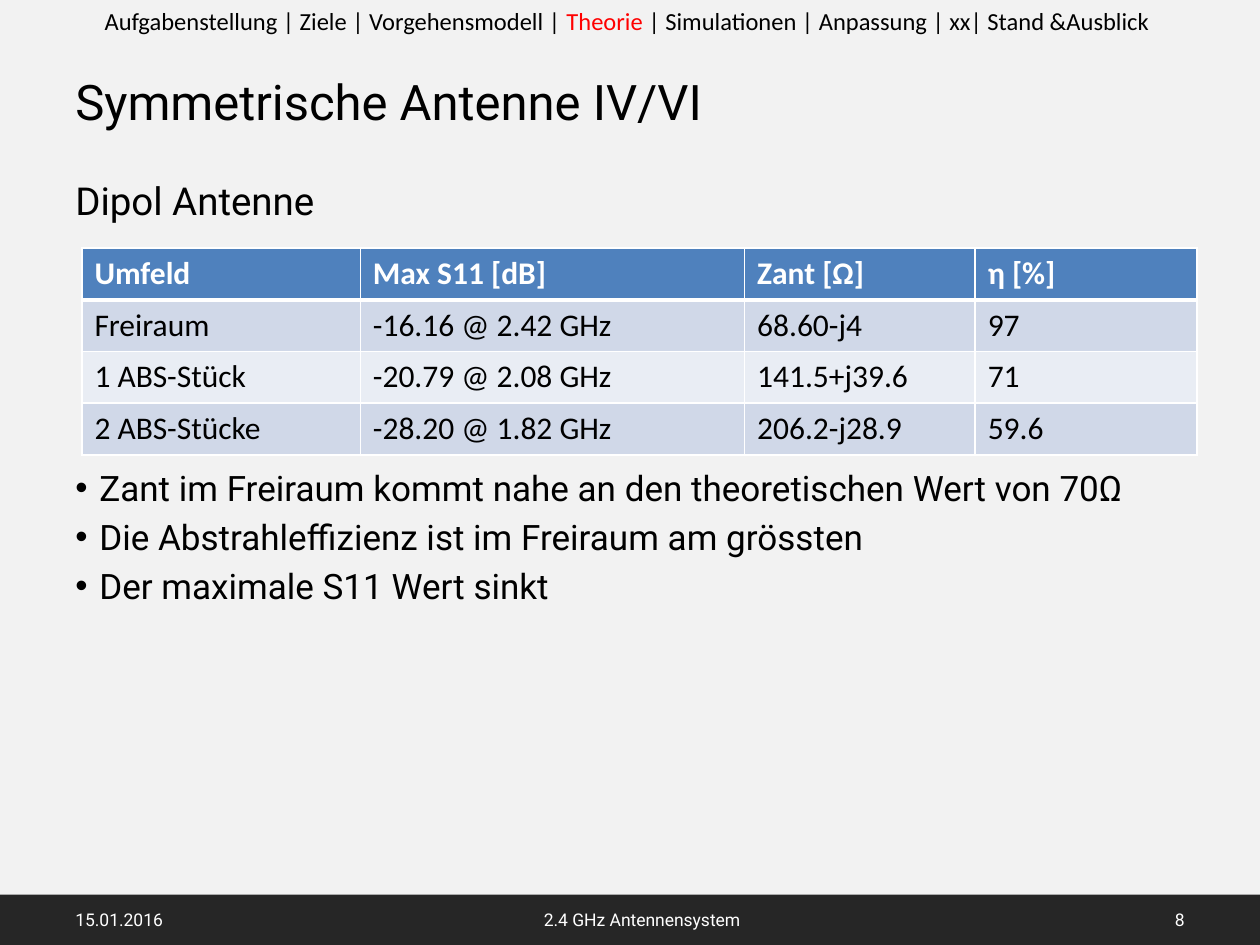
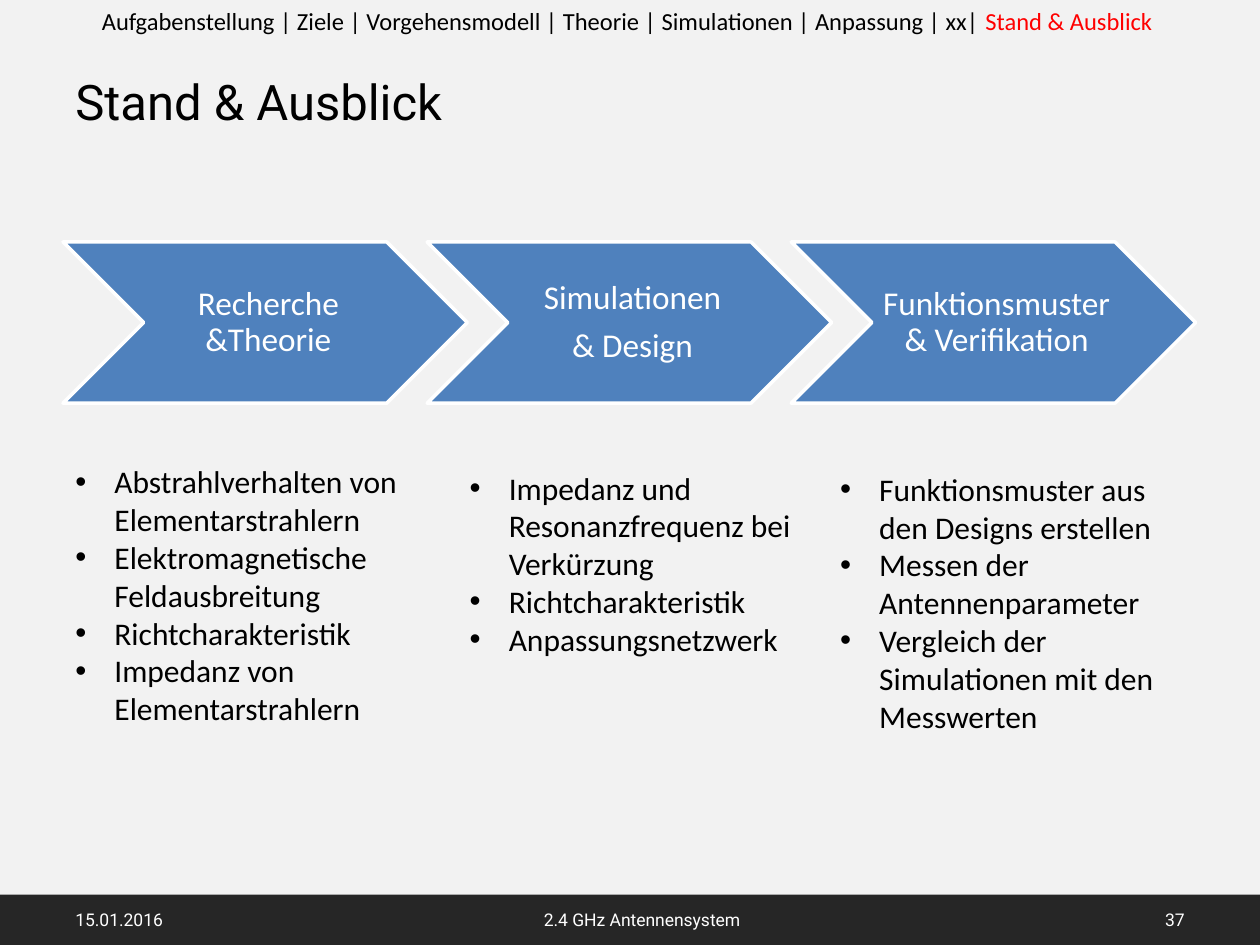
from dataclasses import dataclass

from lxml import etree
from pptx import Presentation
from pptx.dml.color import RGBColor
from pptx.enum.shapes import MSO_SHAPE
from pptx.enum.text import MSO_ANCHOR, PP_ALIGN
from pptx.oxml.ns import qn
from pptx.util import Inches, Pt

LEFT, CENTER, RIGHT = PP_ALIGN.LEFT, PP_ALIGN.CENTER, PP_ALIGN.RIGHT
TOP, MIDDLE = MSO_ANCHOR.TOP, MSO_ANCHOR.MIDDLE
RECTANGLE, CHEVRON = MSO_SHAPE.RECTANGLE, MSO_SHAPE.CHEVRON

GRID_COLUMNS, GRID_ROWS = 20, 15
CELL = Inches(0.5)
MARGIN = 1
CONTENT_WIDTH = GRID_COLUMNS - 2 * MARGIN
FOOTER_ROW, FOOTER_HEIGHT = 14.2, 0.8


@dataclass(frozen=True)
class Theme:
    heading_font: str = "Roboto"
    text_font: str = "Calibri"
    background: str = "F2F2F2"
    band: str = "262626"
    accent: str = "4F81BD"
    stripes: tuple = ("D0D8E8", "E9EDF4")
    dark: str = "000000"
    light: str = "FFFFFF"
    current: str = "FF0000"
    title: int = 28
    subtitle: int = 22
    statement: int = 20
    step: int = 19
    text: int = 18
    navigation: int = 14
    footer: int = 10


THEME = Theme()
SECTIONS = ("Aufgabenstellung | Ziele | Vorgehensmodell | Theorie | "
            "Simulationen | Anpassung | xx| ")

DIPOLE_WIDTHS = (4.42, 6.1, 3.66, 3.52)
DIPOLE_ROWS = (
    ("Umfeld", "Max S11 [dB]", "Zant [Ω]", "η [%]"),
    ("Freiraum", "-16.16 @ 2.42 GHz", "68.60-j4", "97"),
    ("1 ABS-Stück", "-20.79 @ 2.08 GHz", "141.5+j39.6", "71"),
    ("2 ABS-Stücke", "-28.20 @ 1.82 GHz", "206.2-j28.9", "59.6"),
)
DIPOLE_FINDINGS = (
    "Zant im Freiraum kommt nahe an den theoretischen Wert von 70Ω",
    "Die Abstrahleffizienz ist im Freiraum am grössten",
    "Der maximale S11 Wert sinkt",
)
PROJECT_STEPS = (
    ("Recherche &Theorie",),
    ("Simulationen", "& Design"),
    ("Funktionsmuster & Verifikation",),
)
STEP_TASKS = (
    (1, 7.24, ("Abstrahlverhalten von Elementarstrahlern",
               "Elektromagnetische Feldausbreitung",
               "Richtcharakteristik",
               "Impedanz von Elementarstrahlern")),
    (7.26, 7.34, ("Impedanz und Resonanzfrequenz bei Verkürzung",
                  "Richtcharakteristik",
                  "Anpassungsnetzwerk")),
    (13.14, 7.36, ("Funktionsmuster aus den Designs erstellen",
                   "Messen der Antennenparameter",
                   "Vergleich der Simulationen mit den Messwerten")),
)


def cells(*counts):
    return [int(count * CELL) for count in counts]


def color(code):
    return RGBColor.from_string(code)


def style(para, size, font, code, align=LEFT, bold=False):
    para.alignment = align
    para.font.size = Pt(size)
    para.font.name = font
    para.font.bold = bold
    para.font.color.rgb = color(code)


def add_bullet(para, indent):
    properties = para._p.get_or_add_pPr()
    properties.set("marL", str(indent))
    properties.set("indent", str(-indent))
    etree.SubElement(properties, qn("a:buFont"), typeface="Arial")
    etree.SubElement(properties, qn("a:buChar"), char="•")


def fill_paragraphs(frame, lines, size, font, code, align=LEFT,
                    indent=0, gap=0):
    for index, line in enumerate(lines):
        para = frame.paragraphs[0] if index == 0 else frame.add_paragraph()
        para.text = line
        if indent:
            add_bullet(para, cells(indent)[0])
        if index and gap:
            para.space_before = Pt(gap)
        style(para, size, font, code, align)


def add_text(page, area, lines, size, font, code=THEME.dark,
             anchor=TOP, **layout):
    box = page.shapes.add_textbox(*cells(*area))
    box.text_frame.word_wrap = True
    box.text_frame.vertical_anchor = anchor
    fill_paragraphs(box.text_frame, lines, size, font, code, **layout)


def add_block(page, preset, area, fill):
    block = page.shapes.add_shape(preset, *cells(*area))
    block.shadow.inherit = False
    block.fill.solid()
    block.fill.fore_color.rgb = color(fill)
    block.line.fill.background()
    return block


def add_navigation(page, text, current):
    box = page.shapes.add_textbox(*cells(0, 0, GRID_COLUMNS, 0.68))
    box.text_frame.word_wrap = True
    para = box.text_frame.paragraphs[0]
    style(para, THEME.navigation, THEME.text_font, THEME.dark, CENTER)
    for part in filter(None, text.partition(current)):
        span = para.add_run()
        span.text = part
        span.font.color.rgb = color(
            THEME.current if part == current else THEME.dark)


def add_footer(page, number):
    add_block(page, RECTANGLE,
              (0, FOOTER_ROW, GRID_COLUMNS, FOOTER_HEIGHT), THEME.band)
    for left, width, text, align in (
            (MARGIN, 4.66, "15.01.2016", LEFT),
            (6.84, 6.7, "2.4 GHz Antennensystem", CENTER),
            (14.34, 4.66, str(number), RIGHT)):
        add_text(page, (left, FOOTER_ROW, width, FOOTER_HEIGHT), [text],
                 THEME.footer, THEME.heading_font, THEME.light,
                 MIDDLE, align=align)


def add_page(deck, title, number, navigation, current):
    page = deck.slides.add_slide(deck.slide_layouts[6])
    page.background.fill.solid()
    page.background.fill.fore_color.rgb = color(THEME.background)
    add_footer(page, number)
    add_text(page, (MARGIN, 1.04, CONTENT_WIDTH, 1.16), [title],
             THEME.title, THEME.heading_font)
    add_navigation(page, navigation, current)
    return page


def add_border(cell, side, width):
    line = etree.SubElement(cell._tc.get_or_add_tcPr(), qn(f"a:ln{side}"),
                            w=str(Pt(width)))
    solid = etree.SubElement(line, qn("a:solidFill"))
    etree.SubElement(solid, qn("a:srgbClr"), val=THEME.light)


def add_table(page, left, top, widths, row_height, rows):
    frame = page.shapes.add_table(
        len(rows), len(widths),
        *cells(left, top, sum(widths), row_height * len(rows)))
    table = frame.table
    for column, width in zip(table.columns, widths):
        column.width = cells(width)[0]
    for row_index, row in enumerate(rows):
        header = row_index == 0
        fill = THEME.accent if header else THEME.stripes[(row_index - 1) % 2]
        borders = {"L": 1, "R": 1, "T": 3 if row_index == 1 else 1,
                   "B": 3 if header else 1}
        for column_index, text in enumerate(row):
            cell = table.cell(row_index, column_index)
            for side, width in borders.items():
                add_border(cell, side, width)
            cell.fill.solid()
            cell.fill.fore_color.rgb = color(fill)
            cell.text = text
            style(cell.text_frame.paragraphs[0], THEME.text, THEME.text_font,
                  THEME.light if header else THEME.dark, bold=header)


def add_step(page, area, lines):
    step = add_block(page, CHEVRON, area, THEME.accent)
    step.line.color.rgb = color(THEME.light)
    step.line.width = Pt(2)
    frame = step.text_frame
    frame.word_wrap = True
    frame.vertical_anchor = MIDDLE
    frame.margin_left, frame.margin_right = cells(0.12, 0.02)
    frame.margin_top = frame.margin_bottom = cells(0.06)[0]
    fill_paragraphs(frame, lines, THEME.step, THEME.text_font, THEME.light,
                    align=CENTER, gap=6.65)
    for para in frame.paragraphs:
        para.line_spacing = 0.9


def build_dipole(deck):
    page = add_page(deck, "Symmetrische Antenne IV/VI", 8,
                    SECTIONS + "Stand &Ausblick ", "Theorie ")
    add_text(page, (MARGIN, 2.72, CONTENT_WIDTH, 1), ["Dipol Antenne"],
             THEME.subtitle, THEME.heading_font)
    add_table(page, 1.3, 3.94, DIPOLE_WIDTHS, 0.82, DIPOLE_ROWS)
    add_text(page, (MARGIN, 7.3, CONTENT_WIDTH, 6.1), DIPOLE_FINDINGS,
             THEME.statement, THEME.heading_font, indent=0.38, gap=4)


def build_outlook(deck):
    current = "Stand & Ausblick "
    page = add_page(deck, "Stand & Ausblick", 37, SECTIONS + current, current)
    for index, lines in enumerate(PROJECT_STEPS):
        add_step(page, (MARGIN + index * 5.78, 3.84, 6.42, 2.56), lines)
    for left, top, tasks in STEP_TASKS:
        add_text(page, (left, top, 5.52, 4.44), tasks,
                 THEME.text, THEME.text_font, indent=0.62)


def main():
    deck = Presentation()
    deck.slide_width, deck.slide_height = cells(GRID_COLUMNS, GRID_ROWS)
    build_dipole(deck)
    build_outlook(deck)
    deck.save("out.pptx")


if __name__ == "__main__":
    main()
